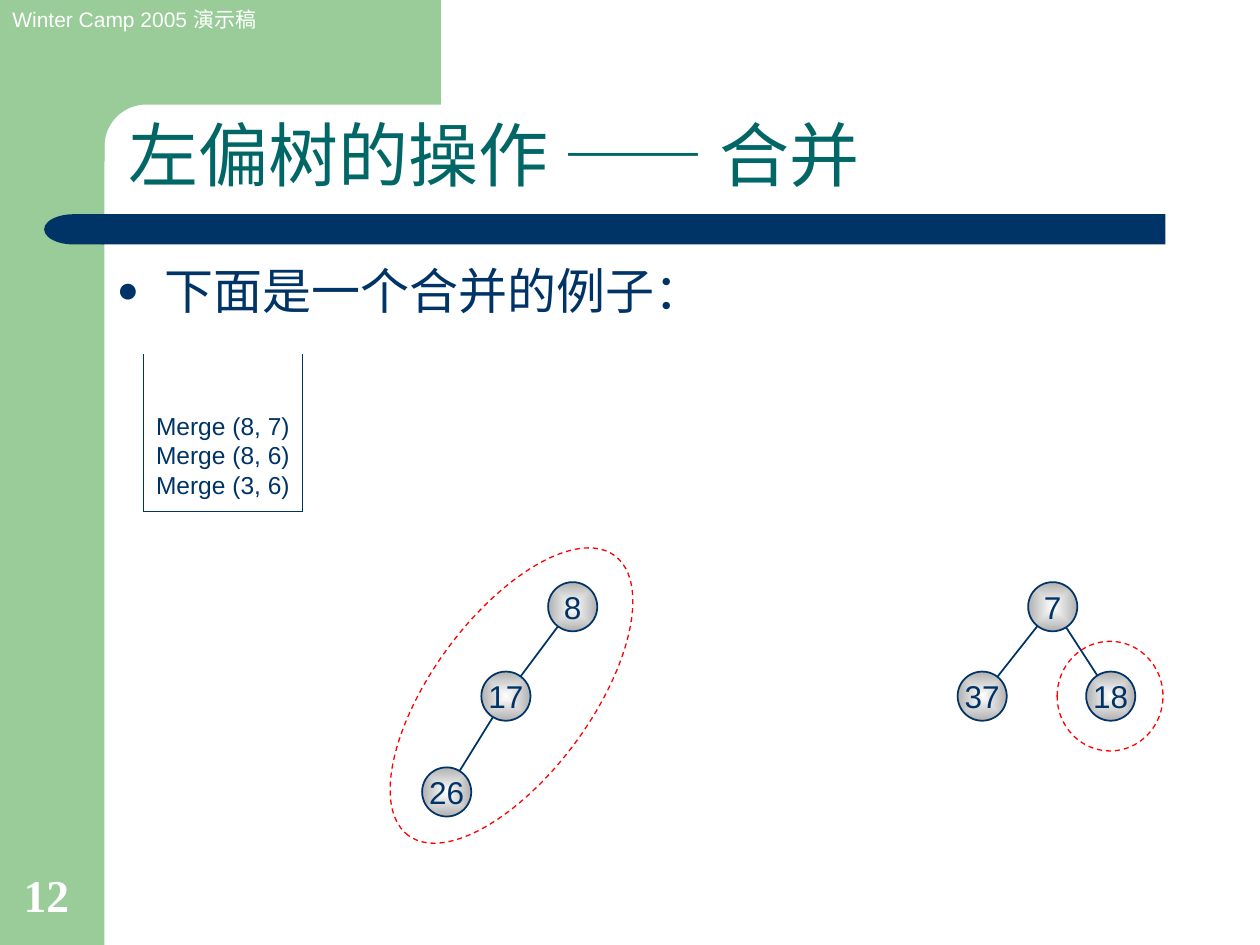
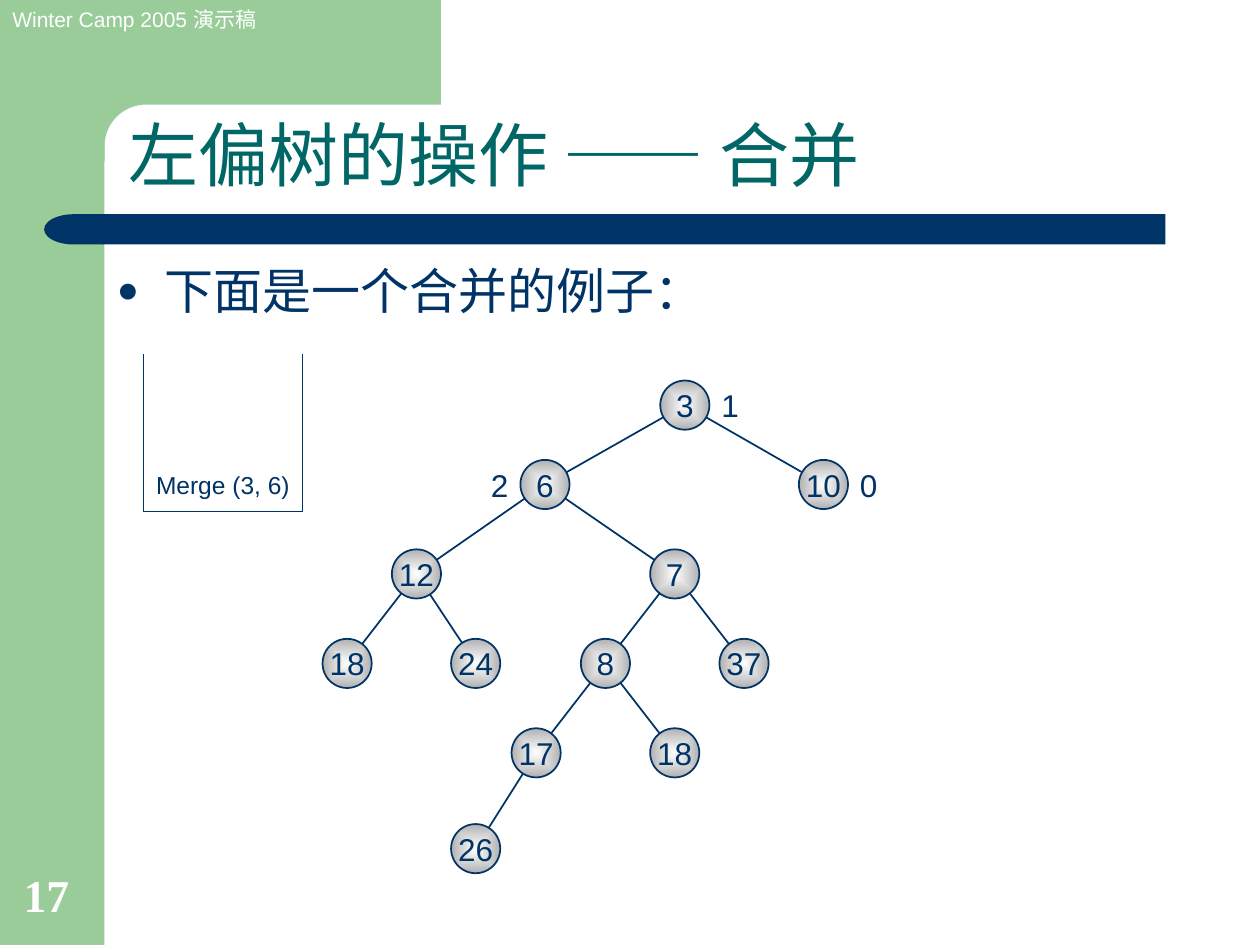
import math

from lxml import etree
from pptx import Presentation
from pptx.dml.color import RGBColor
from pptx.enum.dml import MSO_LINE
from pptx.enum.shapes import MSO_CONNECTOR, MSO_SHAPE
from pptx.enum.text import MSO_ANCHOR, MSO_AUTO_SIZE, PP_ALIGN
from pptx.oxml.ns import qn
from pptx.util import Inches, Pt

RECTANGLE, OVAL, DELAY = MSO_SHAPE.RECTANGLE, MSO_SHAPE.OVAL, MSO_SHAPE.FLOWCHART_DELAY
STRAIGHT = MSO_CONNECTOR.STRAIGHT
LEFT, CENTER = PP_ALIGN.LEFT, PP_ALIGN.CENTER
TOP, MIDDLE, BOTTOM = MSO_ANCHOR.TOP, MSO_ANCHOR.MIDDLE, MSO_ANCHOR.BOTTOM
DASH = MSO_LINE.DASH

COLUMNS, ROWS = 100, 75
WIDTH, HEIGHT = Inches(10), Inches(7.5)

GREEN, TEAL, NAVY, WHITE, GREY, RED = (
    "99CC99", "006666", "003366", "FFFFFF", "B1B1B1", "FF0000")

NODE_SIZE = 3.9
LABEL_GAP = 3.6
LEVEL = 7.1


def color(hex_string):
    return RGBColor.from_string(hex_string)


def across(columns):
    return round(columns * WIDTH / COLUMNS)


def down(rows):
    return round(rows * HEIGHT / ROWS)


def place(left, top, width, height):
    return across(left), down(top), across(width), down(height)


def write(shape, *lines, size=18, ink=NAVY, font="Arial", bold=False, align=LEFT,
          anchor=TOP, wrap=True, spacing=None, bullet=None):
    """Fill the shape with one paragraph per line, all in the same format."""
    frame = shape.text_frame
    frame.word_wrap = wrap
    frame.auto_size = MSO_AUTO_SIZE.NONE
    frame.vertical_anchor = anchor
    frame.text = "\n".join(lines)
    for paragraph in frame.paragraphs:
        paragraph.alignment = align
        if spacing:
            paragraph.line_spacing = spacing
        if bullet:
            add_bullet(paragraph, bullet)
        for run in paragraph.runs:
            run.font.name = font
            run.font.size = Pt(size)
            run.font.bold = bold
            run.font.color.rgb = color(ink)


def add_bullet(paragraph, character):
    properties = paragraph._p.get_or_add_pPr()
    indent = Inches(0.38)
    properties.set("marL", str(indent))
    properties.set("indent", str(-indent))
    bullet_color = etree.SubElement(properties, qn("a:buClr"))
    etree.SubElement(bullet_color, qn("a:srgbClr"), val=NAVY)
    etree.SubElement(properties, qn("a:buSzPct"), val="75000")
    etree.SubElement(properties, qn("a:buFont"), typeface="Arial")
    etree.SubElement(properties, qn("a:buChar"), char=character)


def shade_from_center(shape):
    """Give a gradient that runs from a white middle to grey edges."""
    shape.fill.gradient()
    for stop, position, tint in zip(shape.fill.gradient_stops, (0, 1), (WHITE, GREY)):
        stop.position = position
        stop.color.rgb = color(tint)
    gradient = shape._element.spPr.find(qn("a:gradFill"))
    gradient.remove(gradient.find(qn("a:lin")))
    center = etree.SubElement(gradient, qn("a:path"), path="rect")
    etree.SubElement(center, qn("a:fillToRect"), l="50000", t="50000", r="50000", b="50000")


class Deck:
    def __init__(self):
        self.presentation = Presentation()
        self.presentation.slide_width = WIDTH
        self.presentation.slide_height = HEIGHT
        self.slide = None

    def add_slide(self, number, title, bullet):
        layout = self.presentation.slide_layouts[5]
        self.slide = self.presentation.slides.add_slide(layout)
        self.title(title)
        self.bands()
        self.text("Winter Camp 2005 演示稿", at=(0, 0, 25, 3), size=12, ink=WHITE)
        self.text(bullet, at=(8.3, 20.2, 84.3, 6), size=28, bullet="●")
        self.text(str(number), at=(0.9, 68.3, 6.4, 5.3), size=26, ink=WHITE,
                  font="Times New Roman", bold=True, anchor=BOTTOM)

    def title(self, title):
        shape = self.slide.shapes.title
        shape.left, shape.top, shape.width, shape.height = place(9.2, 9.3, 83.2, 6.8)
        write(shape, title, size=40, ink=TEAL, anchor=BOTTOM, spacing=0.9)

    def bands(self):
        self.shape(RECTANGLE, (0, 0, 8.3, ROWS), fill=GREEN)
        self.corner(left=5, right=35, inner=8.3, bottom=8.3, radius=3.3)
        self.shape(RECTANGLE, (8.1, 17, 84.4, 2.4), fill=NAVY)
        self.shape(DELAY, (3.5, 17, 4.7, 2.4), fill=NAVY).rotation = 180

    def corner(self, left, right, inner, bottom, radius):
        """Draw the top band with a rounded inside corner."""
        arc = [(inner + radius * (1 - math.sin(angle)), bottom + radius * (1 - math.cos(angle)))
               for angle in (math.radians(degrees) for degrees in range(0, 91, 5))]
        low = bottom + radius + 1.2
        outline = [(right, bottom), *arc, (inner, low), (left, low), (left, 0)]
        builder = self.slide.shapes.build_freeform(across(right), 0)
        builder.add_line_segments([(across(x), down(y)) for x, y in outline])
        self.style(builder.convert_to_shape(), fill=GREEN)

    def style(self, shape, fill=None, line=None, line_width=1, dash=None):
        shape.shadow.inherit = False
        if fill:
            shape.fill.solid()
            shape.fill.fore_color.rgb = color(fill)
        else:
            shape.fill.background()
        if line:
            shape.line.color.rgb = color(line)
            shape.line.width = Pt(line_width)
            shape.line.dash_style = dash
        else:
            shape.line.fill.background()

    def shape(self, kind, at, **style):
        shape = self.slide.shapes.add_shape(kind, *place(*at))
        self.style(shape, **style)
        return shape

    def text(self, *lines, at, **text_format):
        write(self.slide.shapes.add_textbox(*place(*at)), *lines, **text_format)

    def line(self, start, end, width=1):
        connector = self.slide.shapes.add_connector(
            STRAIGHT, across(start[0]), down(start[1]), across(end[0]), down(end[1]))
        connector.line.color.rgb = color(NAVY)
        connector.line.width = Pt(width)
        etree.SubElement(connector._element.spPr, qn("a:effectLst"))

    def call_stack(self, *calls):
        left, top, right, bottom = 11.4, 28.1, 24, 40.6
        self.text(*calls, at=(left, top, 14, 12), size=14, anchor=BOTTOM)
        corners = [(left, top), (left, bottom), (right, bottom), (right, top)]
        for start, end in zip(corners, corners[1:]):
            self.line(start, end, width=0.75)

    def node(self, label, column, row):
        half = NODE_SIZE / 2
        shape = self.shape(OVAL, (column - half, row - half, NODE_SIZE, NODE_SIZE), line=NAVY)
        shade_from_center(shape)
        write(shape, label, align=CENTER, anchor=MIDDLE, wrap=False)

    def tree(self, nodes):
        """Draw nodes given as (label, column, row, index of the parent)."""
        for _, column, row, parent in nodes:
            if parent is not None:
                self.line(nodes[parent][1:3], (column, row))
        for label, column, row, _ in nodes:
            self.node(label, column, row)

    def distance(self, label, node, side):
        """Write a node's distance beside it: side is -1 for left, 1 for right."""
        _, column, row, _ = node
        self.text(label, at=(column + side * LABEL_GAP - 2, row - 2, 4, 4),
                  align=CENTER, anchor=MIDDLE)

    def dashed_ring(self, at, rotation=0):
        self.shape(OVAL, at, line=RED, line_width=0.75, dash=DASH).rotation = rotation


def main():
    deck = Deck()
    title, bullet = "左偏树的操作 —— 合并", "下面是一个合并的例子："

    deck.add_slide(12, title, bullet)
    deck.call_stack("Merge (8, 7)", "Merge (8, 6)", "Merge (3, 6)")
    root_row = 48.15
    child_row = root_row + LEVEL
    deck.tree([("7", 83.55, root_row, None),
               ("37", 77.95, child_row, 0),
               ("18", 88.15, child_row, 0)])
    deck.tree([("8", 45.45, root_row, None),
               ("17", 40.15, child_row, 0),
               ("26", 35.45, child_row + 7.6, 1)])
    deck.dashed_ring((26.8, 48.9, 27.6, 12.6), rotation=306.4)
    deck.dashed_ring((83.9, 50.9, 8.4, 8.7))

    deck.add_slide(17, title, bullet)
    deck.call_stack("Merge (3, 6)")
    rows = [38.45 + LEVEL * level for level in range(4)]
    merged = [("3", 54.35, 32.15, None),
              ("6", 43.25, rows[0], 0),
              ("10", 65.35, rows[0], 0),
              ("12", 33.05, rows[1], 1),
              ("7", 53.55, rows[1], 1),
              ("18", 27.55, rows[2], 3),
              ("24", 37.75, rows[2], 3),
              ("8", 48.05, rows[2], 4),
              ("37", 59.05, rows[2], 4),
              ("17", 42.55, rows[3], 7),
              ("18", 53.55, rows[3], 7),
              ("26", 37.75, rows[3] + 7.6, 9)]
    deck.tree(merged)
    for label, node, side in zip("120", merged, (1, -1, 1)):
        deck.distance(label, node, side)

    deck.presentation.save("out.pptx")


if __name__ == "__main__":
    main()
